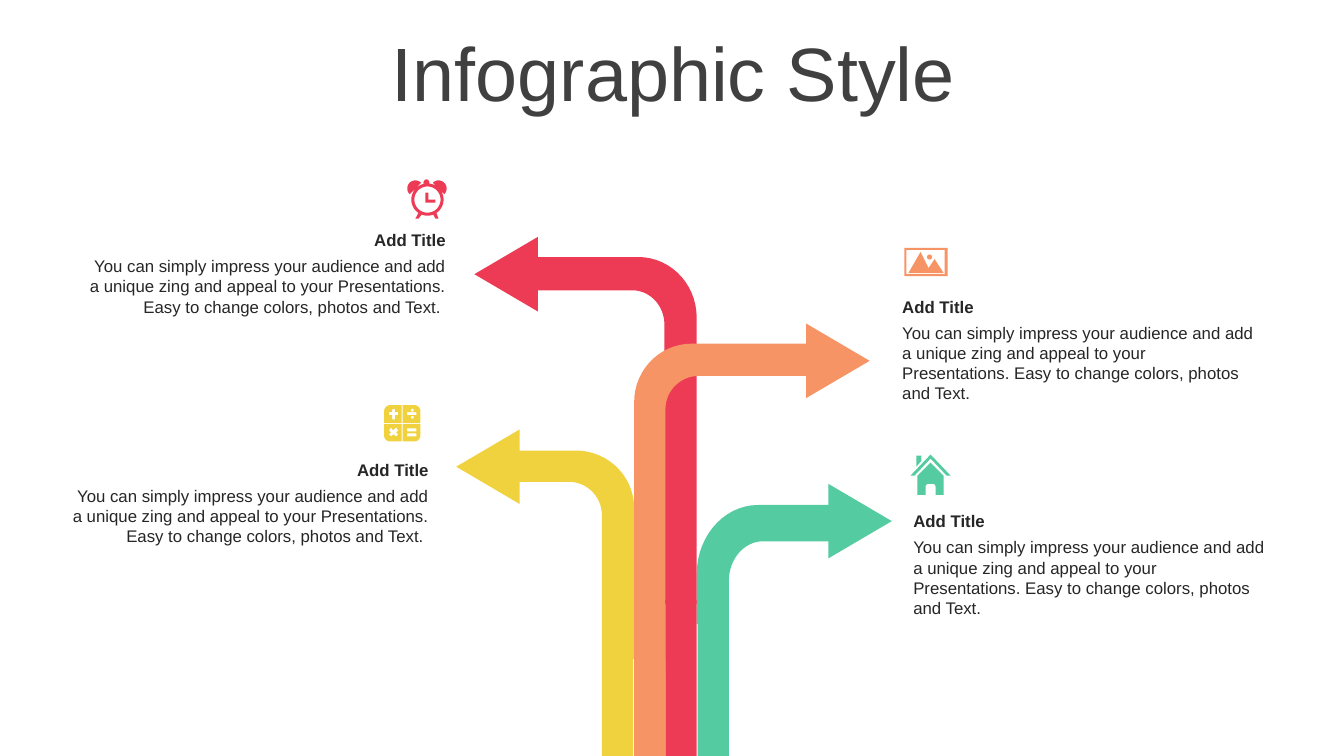
import math
from dataclasses import dataclass

import pptx
import pptx.dml.color
import pptx.enum.shapes
import pptx.enum.text
import pptx.util
from pptx.util import Inches

Point = tuple[float, float]
Contour = list[Point]

RED, ORANGE, YELLOW, GREEN = "ED3B55", "F79465", "F0D23F", "54CBA0"
FONT = "Arial"
STEM_WIDTH = 0.31
HEAD_WIDTH, HEAD_LENGTH = 0.74, 0.63
BODY_TEXT = ("You can simply impress your audience and add a unique zing and appeal "
             "to your Presentations. Easy to change colors, photos and Text.")


@dataclass
class Arrow:
    colour: str
    direction: int  # 1 points right, -1 points left
    start: float
    top: float
    bottom: float
    outer: float
    inner: float
    outer_radii: Point
    inner_radii: Point
    end: float
    head_centre: Point
    stem_left: float
    stem_top: float


@dataclass
class Caption:
    left: float
    top: float
    width: float
    right_aligned: bool


ARROWS = [
    Arrow(GREEN, 1, 8.31, 5.01, 5.37, 6.91, 7.23, (0.61, 0.69), (0.34, 0.39), 6.19,
          (8.53, 5.17), 6.92, 6.18),
    Arrow(YELLOW, -1, 5.09, 4.47, 4.78, 6.29, 5.97, (0.58, 0.57), (0.33, 0.33), 6.54,
          (4.84, 4.63), 5.97, 6.54),
    Arrow(RED, -1, 5.07, 2.55, 2.88, 6.91, 6.59, (0.58, 0.6), (0.32, 0.34), 5.99,
          (5.02, 2.72), 6.6, 5.95),
    Arrow(ORANGE, 1, 8.13, 3.41, 3.73, 6.29, 6.6, (0.57, 0.58), (0.33, 0.33), 6.68,
          (8.31, 3.58), 6.29, 6.54),
]

CAPTIONS = [
    Caption(8.85, 2.89, 3.72, False),
    Caption(8.96, 5.02, 3.72, False),
    Caption(0.76, 2.23, 3.76, True),
    Caption(0.59, 4.51, 3.76, True),
]


# Geometry, in inches; angles run clockwise from the right
def arc(centre: Point, radii: Point, first: float, last: float) -> Contour:
    steps = max(8, round(abs(last - first) / 6))
    angles = [math.radians(first + (last - first) * i / steps) for i in range(steps + 1)]
    return [(centre[0] + radii[0] * math.cos(a), centre[1] + radii[1] * math.sin(a))
            for a in angles]


def circle(centre: Point, radius: float) -> Contour:
    return arc(centre, (radius, radius), 0, 360)


def box(left: float, top: float, right: float, bottom: float) -> Contour:
    return [(left, top), (right, top), (right, bottom), (left, bottom)]


def bend(arrow: Arrow) -> Contour:
    def corner(x: float, y: float, radii: Point) -> Contour:
        centre = (x + arrow.direction * radii[0], y + radii[1])
        return arc(centre, radii, 270, 180 if arrow.direction > 0 else 360)

    return [(arrow.start, arrow.top),
            *corner(arrow.outer, arrow.top, arrow.outer_radii),
            (arrow.outer, arrow.end), (arrow.inner, arrow.end),
            *reversed(corner(arrow.inner, arrow.bottom, arrow.inner_radii)),
            (arrow.start, arrow.bottom)]


def clock_icon() -> list[Contour]:
    centre, radius = (4.24, 1.98), (0.16, 0.16)
    body = [*arc(centre, radius, 124, 416), (4.35, 2.17), (4.32, 2.17),
            *arc(centre, radius, 69, 111), (4.15, 2.17), (4.12, 2.17)]
    hands = [(4.22, 1.91), (4.25, 1.91), (4.25, 1.98), (4.32, 1.98), (4.32, 2.01), (4.22, 2.01)]
    bells = [arc((4.12, 1.87), (0.08, 0.08), 135, 315), arc((4.35, 1.87), (0.08, 0.08), 225, 405)]
    button = arc((4.23, 1.82), (0.03, 0.04), 180, 360)
    return [body, circle(centre, 0.13), hands, *bells, button]


def calculator_icon() -> list[Contour]:
    centre_x, centre_y, half, radius, gap = 3.99, 4.2, 0.18, 0.06, 0.005
    contours = []
    for side, level, first in [(1, 1, 0), (-1, 1, 90), (-1, -1, 180), (1, -1, 270)]:
        near = (centre_x + side * gap, centre_y + level * gap)
        far = (centre_x + side * half, centre_y + level * half)
        corner = arc((far[0] - side * radius, far[1] - level * radius),
                     (radius, radius), first, first + 90)
        ends = [(far[0], near[1]), (near[0], far[1])]
        if side != level:
            ends.reverse()
        contours.append([near, ends[0], *corner, ends[1]])
    plus = [(3.89, 4.06), (3.92, 4.06), (3.92, 4.09), (3.95, 4.09), (3.95, 4.12), (3.92, 4.12),
            (3.92, 4.16), (3.89, 4.16), (3.89, 4.12), (3.86, 4.12), (3.86, 4.09), (3.89, 4.09)]
    times = [(3.88, 4.24), (3.9, 4.27), (3.93, 4.24), (3.95, 4.27), (3.93, 4.29), (3.95, 4.31),
             (3.93, 4.33), (3.9, 4.31), (3.88, 4.33), (3.86, 4.31), (3.88, 4.29), (3.86, 4.27)]
    bars = [box(4.04, top, 4.13, top + 0.03) for top in (4.09, 4.25, 4.3)]
    dots = [circle((4.09, y), 0.015) for y in (4.07, 4.14)]
    return [*contours, plus, times, *bars, *dots]


def house_icon() -> list[Contour]:
    walls = [(9.23, 4.59), (9.36, 4.72), (9.36, 4.91), (9.28, 4.91),
             *arc((9.25, 4.83), (0.03, 0.03), 360, 270),
             *arc((9.21, 4.83), (0.03, 0.03), 270, 180), (9.18, 4.91), (9.1, 4.91), (9.1, 4.72)]
    chimney = [(9.09, 4.52), (9.14, 4.52), (9.14, 4.57), (9.09, 4.63)]
    roof = [(9.23, 4.51), (9.43, 4.72), (9.39, 4.72), (9.23, 4.55), (9.07, 4.72), (9.03, 4.72)]
    return [walls, chimney, roof]


def landscape_icon() -> list[Contour]:
    mountains = [(9.13, 2.5), (9.21, 2.66), (9.27, 2.57), (9.36, 2.71), (9.01, 2.71)]
    return [box(8.97, 2.46, 9.4, 2.74), box(8.99, 2.48, 9.37, 2.72), mountains,
            circle((9.22, 2.55), 0.025)]


# Drawing
def paint(shape, colour: str) -> None:
    shape.shadow.inherit = False
    shape.fill.solid()
    shape.fill.fore_color.rgb = pptx.dml.color.RGBColor.from_string(colour)
    shape.line.fill.background()


def draw_contours(slide, contours: list[Contour], colour: str) -> None:
    scaled = [[(Inches(x), Inches(y)) for x, y in contour] for contour in contours]
    builder = slide.shapes.build_freeform(*scaled[0][0])
    for index, points in enumerate(scaled):
        if index:
            builder.move_to(*points[0])
        builder.add_line_segments(points[1:], close=True)
    paint(builder.convert_to_shape(), colour)


def draw_head(slide, arrow: Arrow) -> None:
    x, y = arrow.head_centre
    head = slide.shapes.add_shape(
        pptx.enum.shapes.MSO_SHAPE.ISOSCELES_TRIANGLE, Inches(x - HEAD_WIDTH / 2),
        Inches(y - HEAD_LENGTH / 2), Inches(HEAD_WIDTH), Inches(HEAD_LENGTH))
    head.rotation = 90 if arrow.direction > 0 else 270
    paint(head, arrow.colour)


def draw_stem(slide, arrow: Arrow) -> None:
    stem = slide.shapes.add_shape(
        pptx.enum.shapes.MSO_SHAPE.RECTANGLE, Inches(arrow.stem_left), Inches(arrow.stem_top),
        Inches(STEM_WIDTH), Inches(7.5 - arrow.stem_top))
    paint(stem, arrow.colour)


def write(shape, text: str, size: float, colour: str, alignment, bold: bool = False) -> None:
    shape.text_frame.word_wrap = True
    shape.text_frame.text = text
    paragraph = shape.text_frame.paragraphs[0]
    paragraph.alignment = alignment
    font = paragraph.runs[0].font
    font.name, font.size, font.bold = FONT, pptx.util.Pt(size), bold
    font.color.rgb = pptx.dml.color.RGBColor.from_string(colour)


def draw_caption(slide, caption: Caption) -> None:
    align = pptx.enum.text.PP_ALIGN
    alignment = align.RIGHT if caption.right_aligned else align.LEFT
    body = BODY_TEXT + " " if caption.right_aligned else BODY_TEXT
    for text, offset, height, bold in [(body, 0.26, 0.71, False), ("Add Title", 0, 0.3, True)]:
        text_box = slide.shapes.add_textbox(Inches(caption.left), Inches(caption.top + offset),
                                            Inches(caption.width), Inches(height))
        write(text_box, text, 12, "262626", alignment, bold)


def main() -> None:
    presentation = pptx.Presentation()
    presentation.slide_width, presentation.slide_height = Inches(13.33), Inches(7.5)
    slide = presentation.slides.add_slide(presentation.slide_layouts[5])

    # Title
    title = slide.shapes.title
    title.left, title.top, title.width, title.height = map(Inches, (0.35, 0.37, 12.66, 0.79))
    write(title, "Infographic Style", 54, "404040", pptx.enum.text.PP_ALIGN.CENTER)
    title.text_frame.auto_size = pptx.enum.text.MSO_AUTO_SIZE.NONE
    title.text_frame.vertical_anchor = pptx.enum.text.MSO_ANCHOR.MIDDLE
    title.text_frame.paragraphs[0].line_spacing = 0.9

    # Arrows
    for arrow in ARROWS:
        draw_contours(slide, [bend(arrow)], arrow.colour)
    for draw_part in (draw_head, draw_stem):
        for arrow in ARROWS:
            draw_part(slide, arrow)

    # Captions and icons
    for caption in CAPTIONS:
        draw_caption(slide, caption)
    for icon, colour in [(clock_icon, RED), (calculator_icon, YELLOW),
                         (house_icon, GREEN), (landscape_icon, ORANGE)]:
        draw_contours(slide, icon(), colour)

    presentation.save("out.pptx")


if __name__ == "__main__":
    main()
